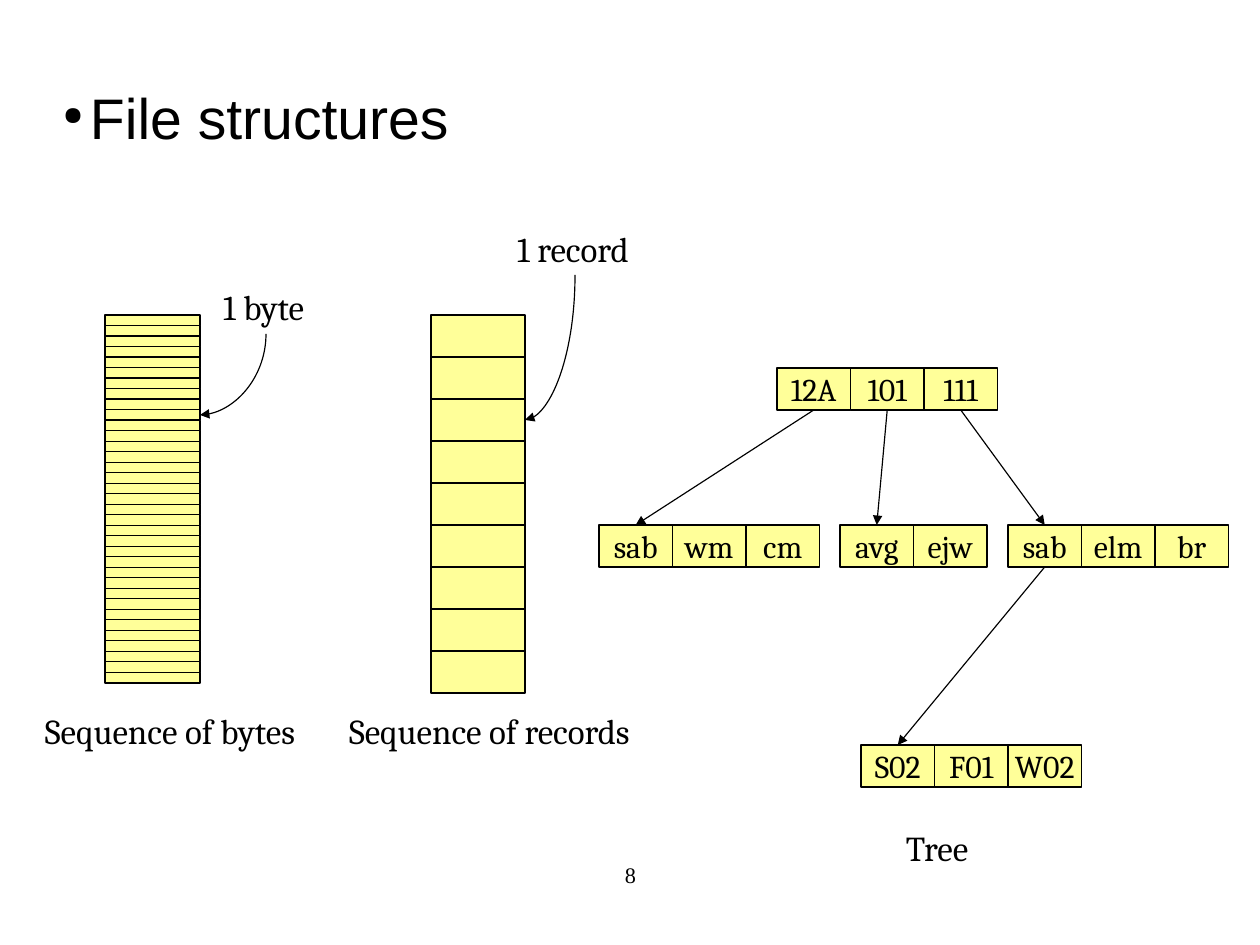
from dataclasses import dataclass
from lxml.etree import SubElement
from pptx import Presentation
from pptx.dml.color import RGBColor as RGB
from pptx.enum.shapes import MSO_CONNECTOR as LINK, MSO_SHAPE as SHAPE
from pptx.enum.text import MSO_ANCHOR as ANCHOR, MSO_AUTO_SIZE as FIT, PP_ALIGN as ALIGN
from pptx.oxml.ns import qn
from pptx.util import Emu, Pt


def px(n):
    return Emu(round(n * 8000))


@dataclass(frozen=True)
class Theme:
    ink: RGB = RGB(0, 0, 0)
    fill: RGB = RGB(0xFF, 0xFF, 0x99)
    head: str = "Arial"
    body: str = "Cambria"
    foot: str = "Times New Roman"
    title: int = 36
    label: int = 22
    key: int = 20
    page: int = 14
    line: float = 0.75


class Deck:
    def __init__(self, theme, wide, high):
        self.theme = theme
        self.file = Presentation()
        self.file.slide_width, self.file.slide_height = px(wide), px(high)
        self.slide = self.file.slides.add_slide(self.file.slide_layouts[6])
        self.shapes = self.slide.shapes

    def letter(self, shape, text, size, font=None, align=ALIGN.LEFT,
               anchor=ANCHOR.TOP, pad=(13, 7), wrap=False, fit=FIT.NONE):
        frame = shape.text_frame
        frame.auto_size, frame.word_wrap = fit, wrap
        frame.vertical_anchor = anchor
        frame.margin_left = frame.margin_right = px(pad[0])
        frame.margin_top = frame.margin_bottom = px(pad[1])
        para = frame.paragraphs[0]
        para.alignment = align
        run = para.add_run()
        run.text = text
        run.font.size = Pt(size)
        run.font.name = font or self.theme.body
        run.font.color.rgb = self.theme.ink
        return para

    def text(self, x, y, w, h, text, size, **style):
        box = self.shapes.add_textbox(px(x), px(y), px(w), px(h))
        return self.letter(box, text, size, **style)

    def label(self, x, y, w, text):
        self.text(x, y, w, 55, text, self.theme.label, fit=FIT.SHAPE_TO_FIT_TEXT)

    def title(self, x, y, w, h, text):
        para = self.text(x, y, w, h, text, self.theme.title, font=self.theme.head,
                         anchor=ANCHOR.MIDDLE, pad=(0, 0), wrap=True)
        props = para._p.get_or_add_pPr()
        props.set("marL", str(px(27)))
        props.set("indent", str(-px(27)))
        SubElement(props, qn("a:buSzPct")).set("val", "45000")
        SubElement(props, qn("a:buChar")).set("char", "●")

    def box(self, x, y, w, h):
        rect = self.shapes.add_shape(SHAPE.RECTANGLE, px(x), px(y), px(w), px(h))
        rect.shadow.inherit = False
        rect.fill.solid()
        rect.fill.fore_color.rgb = self.theme.fill
        rect.line.color.rgb = self.theme.ink
        rect.line.width = Pt(self.theme.line)
        return rect

    def stack(self, x, y, w, h, count):
        step = h / count
        for i in range(count):
            self.box(x, y + i * step, w, step)

    def node(self, x, y, keys):
        step = 147 / 2
        cells = [self.box(x + i * step, y, step, 42) for i in range(len(keys))]
        for cell, key in zip(cells, keys):
            self.letter(cell, key, self.theme.key, align=ALIGN.CENTER,
                        anchor=ANCHOR.MIDDLE)
        return cells

    def link(self, kind, x1, y1, x2, y2):
        wire = self.shapes.add_connector(kind, px(x1), px(y1), px(x2), px(y2))
        wire.line.color.rgb = self.theme.ink
        wire.line.width = Pt(self.theme.line)
        SubElement(wire.line._get_or_add_ln(), qn("a:tailEnd")).set("type", "triangle")
        SubElement(wire._element.spPr, qn("a:effectLst"))
        return wire

    def arrow(self, start, end):
        wire = self.link(LINK.STRAIGHT, 0, 0, 0, 0)
        wire.begin_connect(start, 2)
        wire.end_connect(end, 0)

    def curve(self, x1, y1, x2, y2):
        w, h = y2 - y1, x1 - x2
        left, top = (x1 + x2 - w) / 2, (y1 + y2 - h) / 2
        wire = self.link(LINK.CURVE, left, top, left + w, top + h)
        form = wire._element.spPr
        form.find(qn("a:xfrm")).set("rot", "5400000")
        form.find(qn("a:prstGeom")).set("prst", "curvedConnector2")


def main():
    theme = Theme()
    deck = Deck(theme, 1260, 945)
    deck.text(431, 861, 399, 65, "8", theme.page, font=theme.foot,
              align=ALIGN.CENTER, pad=(0, 0), wrap=True)
    deck.title(63, 72, 900, 90, "File structures")

    deck.stack(105, 315, 95, 368, 35)
    deck.stack(431, 315, 94, 378, 9)
    for spot in (
        (32, 703, 280, "Sequence of bytes"),
        (336, 703, 309, "Sequence of records"),
        (210, 279, 112, "1 byte"),
        (504, 221, 141, "1 record"),
        (893, 820, 89, "Tree"),
    ):
        deck.label(*spot)
    deck.curve(266, 334, 200, 415)
    deck.curve(575, 275, 525, 420)

    root = deck.node(777, 368, ("12A", "101", "111"))
    kids = [
        deck.node(599, 525, ("sab", "wm", "cm")),
        deck.node(840, 525, ("avg", "ejw")),
        deck.node(1008, 525, ("sab", "elm", "br")),
    ]
    leaf = deck.node(861, 745, ("S02", "F01", "W02"))
    for cell, kid in zip(root, kids):
        deck.arrow(cell, kid[0])
    deck.arrow(kids[2][0], leaf[0])
    deck.file.save("out.pptx")


if __name__ == "__main__":
    main()
